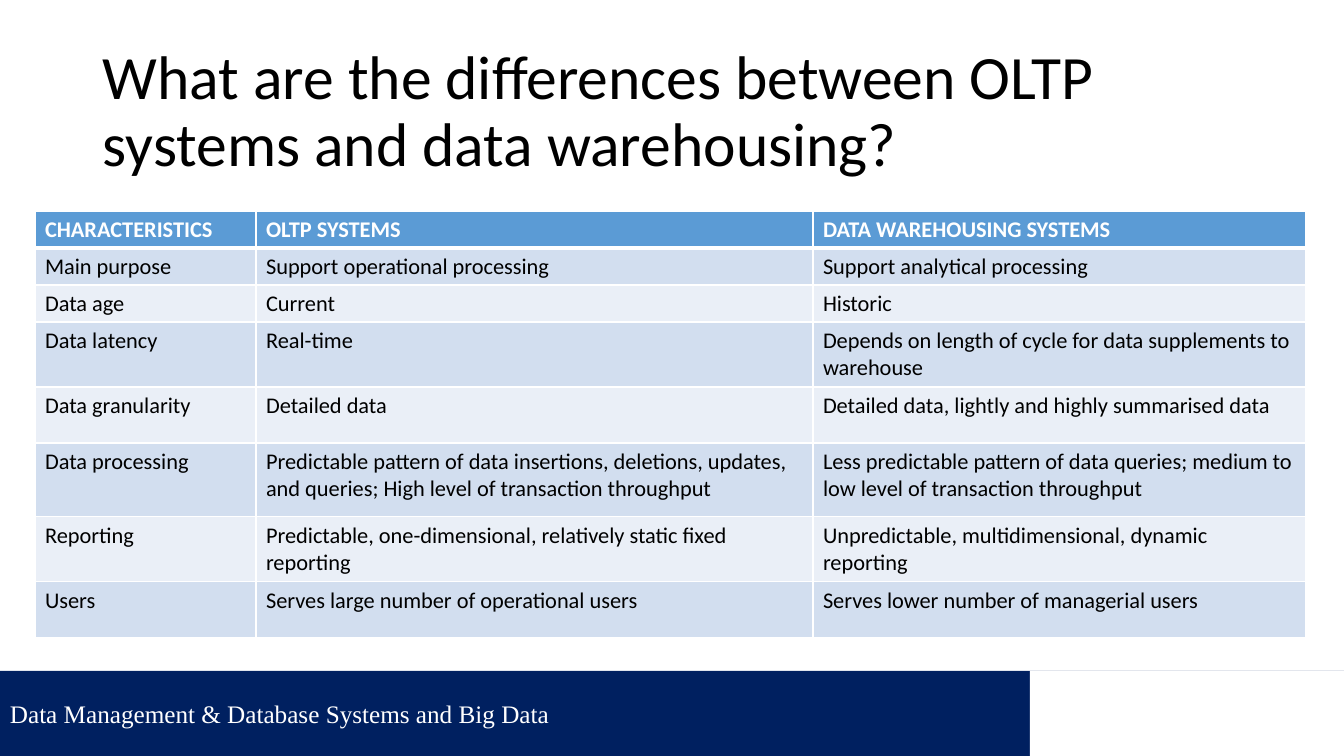
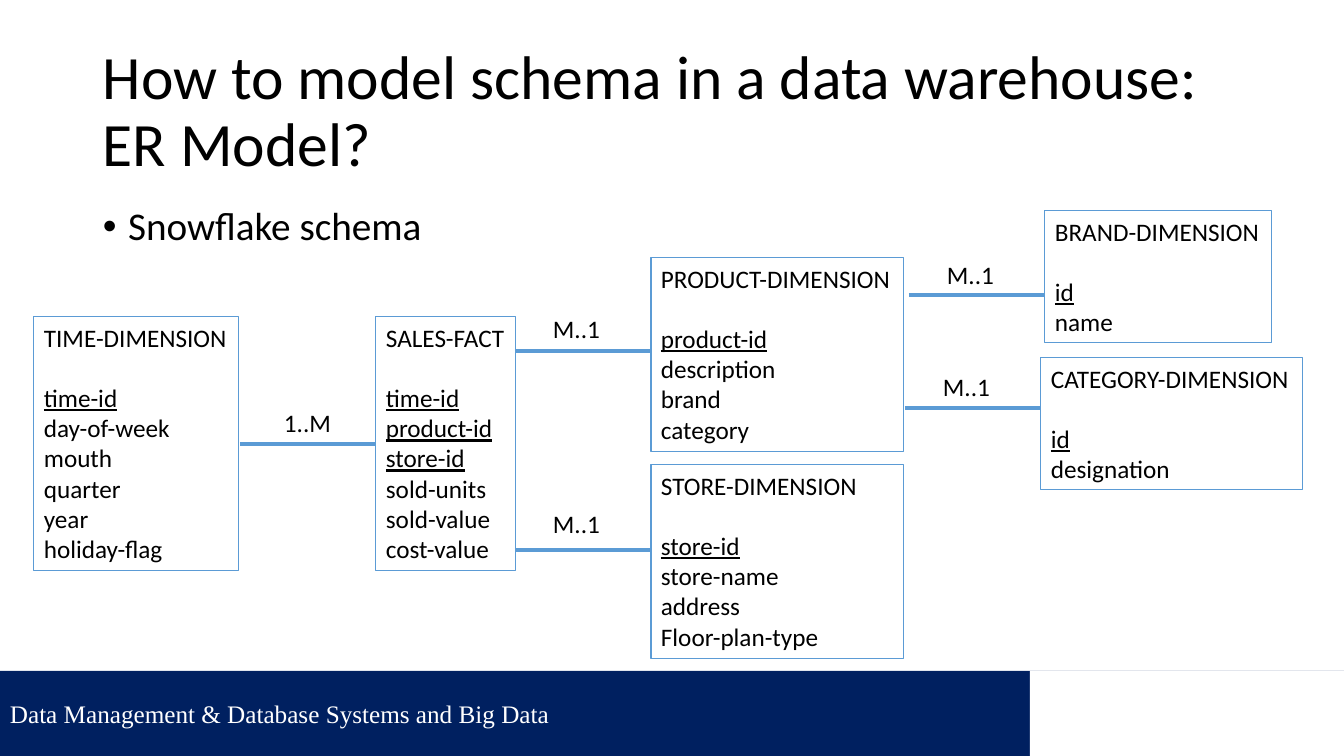
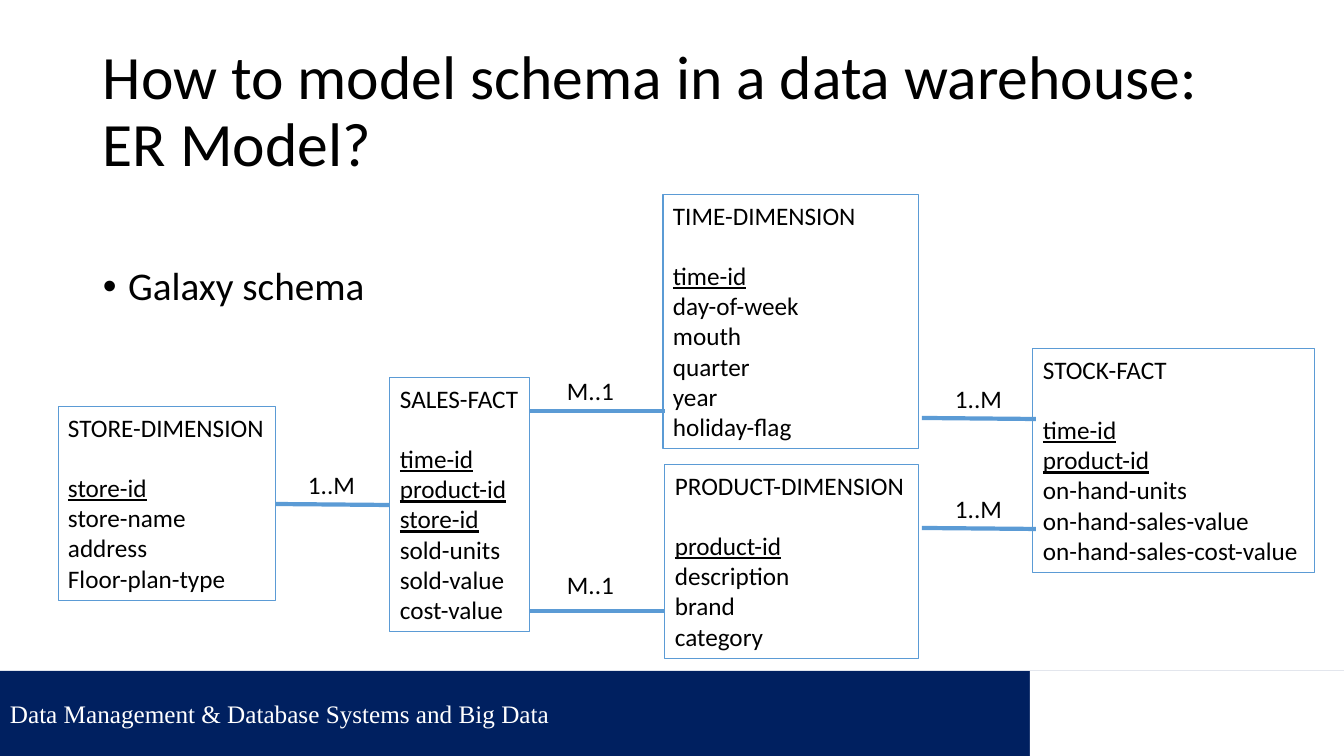
"""Build three slides on data warehousing: a comparison table and two ER schemas."""
from dataclasses import dataclass

import lxml.etree
import pptx
import pptx.dml.color
import pptx.enum.shapes
import pptx.enum.text
import pptx.oxml.ns
import pptx.presentation
import pptx.shapes.autoshape
import pptx.slide
import pptx.table
import pptx.text.text
import pptx.util

SCALE = pptx.util.Inches(7.5) / 756
WIDTH, HEIGHT = 1344, 756
FOOTER_TOP, FOOTER_HEIGHT, FOOTER_GAP_LEFT = 671, 85, 1030
LABEL_WIDTH, LABEL_HEIGHT = 68, 40
COLORS = {
    "text": "000000",
    "white": "FFFFFF",
    "navy": "002060",
    "blue": "5B9BD5",
    "band_dark": "D2DEEF",
    "band_light": "EAEFF7",
}
FONT, FOOTER_FONT = "Calibri", "Times New Roman"
FOOTER = "Data Management & Database Systems and Big Data"
ER_TITLE = "How to model schema in a data warehouse: ER Model?"


@dataclass(frozen=True)
class Box:
    left: int
    top: int
    width: int
    height: int


@dataclass(frozen=True)
class Entity:
    name: str
    box: Box
    keys: tuple[str, ...]
    fields: tuple[str, ...]


@dataclass(frozen=True)
class Link:
    label: str
    left: int
    top: int
    length: int
    drop: int
    label_left: int
    label_top: int


@dataclass(frozen=True)
class Schema:
    bullet: str
    bullet_top: int
    entities: tuple[Entity, ...]
    links: tuple[Link, ...]


TABLE_BOX = Box(35, 211, 1271, 427)
COLUMNS = (221, 557, 493)
ROW_HEIGHTS = (37, 37, 37, 65, 56, 74, 65, 56)
ROWS = (
    ("CHARACTERISTICS", "OLTP SYSTEMS", "DATA WAREHOUSING SYSTEMS"),
    ("Main purpose", "Support operational processing", "Support analytical processing"),
    ("Data age", "Current", "Historic"),
    ("Data latency", "Real-time",
     "Depends on length of cycle for data supplements to warehouse"),
    ("Data granularity", "Detailed data",
     "Detailed data, lightly and highly summarised data"),
    ("Data processing",
     "Predictable pattern of data insertions, deletions, updates, and queries; "
     "High level of transaction throughput",
     "Less predictable pattern of data queries; medium to low level of "
     "transaction throughput"),
    ("Reporting", "Predictable, one-dimensional, relatively static fixed reporting",
     "Unpredictable, multidimensional, dynamic reporting"),
    ("Users", "Serves large number of operational users",
     "Serves lower number of managerial users"),
)


def time_dimension(box: Box) -> Entity:
    return Entity("TIME-DIMENSION", box, ("time-id",),
                  ("day-of-week", "mouth", "quarter", "year", "holiday-flag"))


def sales_fact(box: Box) -> Entity:
    return Entity("SALES-FACT", box, ("time-id", "product-id", "store-id"),
                  ("sold-units", "sold-value", "cost-value"))


def product_dimension(box: Box) -> Entity:
    return Entity("PRODUCT-DIMENSION", box, ("product-id",),
                  ("description", "brand", "category"))


def store_dimension(box: Box) -> Entity:
    return Entity("STORE-DIMENSION", box, ("store-id",),
                  ("store-name", "address", "Floor-plan-type"))


SNOWFLAKE = Schema(
    "Snowflake schema", 202,
    (
        time_dimension(Box(34, 317, 205, 254)),
        sales_fact(Box(376, 317, 140, 254)),
        product_dimension(Box(651, 258, 253, 194)),
        store_dimension(Box(651, 465, 253, 194)),
        Entity("BRAND-DIMENSION", Box(1045, 211, 227, 132), ("id",), ("name",)),
        Entity("CATEGORY-DIMENSION", Box(1041, 358, 262, 132), ("id",), ("designation",)),
    ),
    (
        Link("1..M", 240, 444, 136, 0, 274, 402),
        Link("M..1", 515, 550, 136, 0, 543, 503),
        Link("M..1", 515, 351, 136, 0, 543, 308),
        Link("M..1", 909, 295, 136, 0, 937, 254),
        Link("M..1", 905, 408, 136, 0, 933, 366),
    ),
)
GALAXY = Schema(
    "Galaxy schema", 262,
    (
        time_dimension(Box(663, 195, 256, 254)),
        sales_fact(Box(390, 378, 140, 254)),
        product_dimension(Box(665, 465, 254, 194)),
        store_dimension(Box(58, 407, 218, 194)),
        Entity("STOCK-FACT", Box(1033, 349, 282, 224), ("time-id", "product-id"),
               ("on-hand-units", "on-hand-sales-value", "on-hand-sales-cost-value")),
    ),
    (
        Link("1..M", 276, 504, 114, 1, 298, 464),
        Link("M..1", 529, 611, 136, 0, 557, 564),
        Link("M..1", 529, 411, 136, 0, 557, 370),
        Link("1..M", 922, 418, 114, 1, 945, 378),
        Link("1..M", 922, 528, 114, 1, 945, 488),
    ),
)


def px(n: int) -> int:
    return round(n * SCALE)


def rgb(name: str) -> pptx.dml.color.RGBColor:
    return pptx.dml.color.RGBColor.from_string(COLORS[name])


def place(box: Box) -> tuple[int, int, int, int]:
    return px(box.left), px(box.top), px(box.width), px(box.height)


def add_run(p: pptx.text.text._Paragraph, text: str, size: int, color: str = "text",
            font: str = FONT, bold: bool = False, underline: bool = False) -> None:
    r = p.add_run()
    r.text = text
    r.font.size = pptx.util.Pt(size)
    r.font.name = font
    r.font.color.rgb = rgb(color)
    r.font.bold = bold
    r.font.underline = underline


def add_textbox(slide: pptx.slide.Slide, box: Box) -> pptx.text.text.TextFrame:
    tf = slide.shapes.add_textbox(*place(box)).text_frame
    tf.word_wrap = True
    return tf


def add_rect(slide: pptx.slide.Slide, box: Box, fill: str | None = None,
             line: str | None = None) -> pptx.shapes.autoshape.Shape:
    sp = slide.shapes.add_shape(pptx.enum.shapes.MSO_SHAPE.RECTANGLE, *place(box))
    sp.shadow.inherit = False
    if fill:
        sp.fill.solid()
        sp.fill.fore_color.rgb = rgb(fill)
    else:
        sp.fill.background()
    if line:
        sp.line.color.rgb = rgb(line)
        sp.line.width = pptx.util.Pt(0.75)
    else:
        sp.line.fill.background()
    return sp


def add_base(prs: pptx.presentation.Presentation, title: str) -> pptx.slide.Slide:
    slide = prs.slides.add_slide(prs.slide_layouts[6])
    band = add_rect(slide, Box(0, FOOTER_TOP, WIDTH, FOOTER_HEIGHT), "navy")
    tf = band.text_frame
    tf.vertical_anchor = pptx.enum.text.MSO_ANCHOR.MIDDLE
    p = tf.paragraphs[0]
    p.alignment = pptx.enum.text.PP_ALIGN.LEFT
    add_run(p, FOOTER, 18, "white", FOOTER_FONT)
    add_rect(slide, Box(FOOTER_GAP_LEFT, FOOTER_TOP, WIDTH - FOOTER_GAP_LEFT,
                        FOOTER_HEIGHT), "white")
    tf = add_textbox(slide, Box(93, 40, 1159, 146))
    tf.vertical_anchor = pptx.enum.text.MSO_ANCHOR.MIDDLE
    p = tf.paragraphs[0]
    p.line_spacing = 0.9
    add_run(p, title, 44)
    return slide


def add_bullet(slide: pptx.slide.Slide, text: str, top: int) -> None:
    p = add_textbox(slide, Box(93, top, 1159, 480)).paragraphs[0]
    p.line_spacing = 0.9
    add_run(p, text, 28)
    pPr = p._p.get_or_add_pPr()
    indent = pptx.util.Inches(0.25)
    pPr.set("marL", str(indent))
    pPr.set("indent", str(-indent))
    qn = pptx.oxml.ns.qn
    lxml.etree.SubElement(pPr, qn("a:buFont")).set("typeface", "Arial")
    lxml.etree.SubElement(pPr, qn("a:buChar")).set("char", "•")


def add_entity(slide: pptx.slide.Slide, entity: Entity) -> None:
    tf = add_rect(slide, entity.box, line="blue").text_frame
    tf.word_wrap = True
    tf.vertical_anchor = pptx.enum.text.MSO_ANCHOR.TOP
    p = tf.paragraphs[0]
    p.alignment = pptx.enum.text.PP_ALIGN.LEFT
    add_run(p, entity.name, 18)
    for i, name in enumerate(entity.keys + entity.fields):
        p = tf.add_paragraph()
        p.alignment = pptx.enum.text.PP_ALIGN.LEFT
        if i == 0:
            p.space_before = pptx.util.Pt(21.5)
        add_run(p, name, 18, underline=i < len(entity.keys))


def add_link(slide: pptx.slide.Slide, link: Link) -> None:
    line = slide.shapes.add_connector(
        pptx.enum.shapes.MSO_CONNECTOR.STRAIGHT, px(link.left), px(link.top),
        px(link.left + link.length), px(link.top + link.drop))
    line.line.color.rgb = rgb("blue")
    line.line.width = pptx.util.Pt(3)
    lxml.etree.SubElement(line._element.spPr, pptx.oxml.ns.qn("a:effectLst"))
    tf = add_textbox(slide, Box(link.label_left, link.label_top, LABEL_WIDTH, LABEL_HEIGHT))
    add_run(tf.paragraphs[0], link.label, 18)


def style_cell(cell: pptx.table._Cell, fill: str, bottom: int, top: int) -> None:
    qn = pptx.oxml.ns.qn
    tcPr = cell._tc.get_or_add_tcPr()
    for side, width in (("L", 1), ("R", 1), ("T", top), ("B", bottom)):
        ln = lxml.etree.SubElement(tcPr, qn(f"a:ln{side}"))
        ln.set("w", str(pptx.util.Pt(width)))
        solid = lxml.etree.SubElement(ln, qn("a:solidFill"))
        lxml.etree.SubElement(solid, qn("a:srgbClr")).set("val", COLORS["white"])
    cell.fill.solid()
    cell.fill.fore_color.rgb = rgb(fill)


def add_comparison(slide: pptx.slide.Slide) -> None:
    table = slide.shapes.add_table(len(ROWS), len(COLUMNS), *place(TABLE_BOX)).table
    for column, width in zip(table.columns, COLUMNS):
        column.width = px(width)
    for i, (texts, height) in enumerate(zip(ROWS, ROW_HEIGHTS)):
        table.rows[i].height = px(height)
        header = i == 0
        fill = "blue" if header else "band_dark" if i % 2 else "band_light"
        for j, text in enumerate(texts):
            cell = table.cell(i, j)
            style_cell(cell, fill, bottom=3 if header else 1, top=3 if i == 1 else 1)
            add_run(cell.text_frame.paragraphs[0], text, 16,
                    "white" if header else "text", bold=header)


def add_schema(prs: pptx.presentation.Presentation, schema: Schema) -> None:
    slide = add_base(prs, ER_TITLE)
    add_bullet(slide, schema.bullet, schema.bullet_top)
    for entity in schema.entities:
        add_entity(slide, entity)
    for link in schema.links:
        add_link(slide, link)


def main() -> None:
    prs = pptx.Presentation()
    prs.slide_width, prs.slide_height = px(WIDTH), px(HEIGHT)
    add_comparison(add_base(
        prs, "What are the differences between OLTP systems and data warehousing?"))
    for schema in (SNOWFLAKE, GALAXY):
        add_schema(prs, schema)
    prs.save("out.pptx")


if __name__ == "__main__":
    main()
